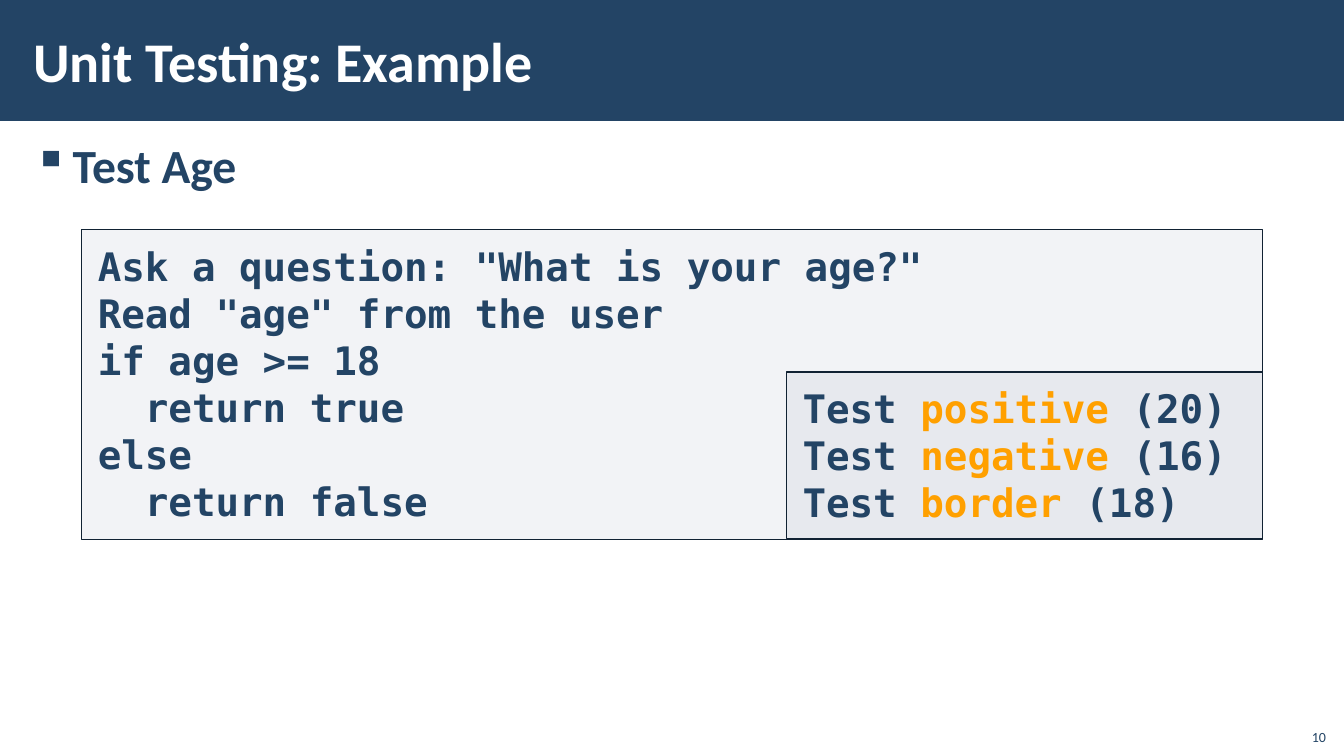
import pptx
import pptx.dml.color
import pptx.enum.shapes
import pptx.enum.text
import pptx.oxml
import pptx.oxml.ns
import pptx.util
from lxml import etree

Inches = pptx.util.Inches
Pt = pptx.util.Pt
RGBColor = pptx.dml.color.RGBColor
ALIGN = pptx.enum.text.PP_ALIGN
ANCHOR = pptx.enum.text.MSO_ANCHOR
qn = pptx.oxml.ns.qn

NAVY = RGBColor(0x23, 0x44, 0x65)
WHITE = RGBColor(0xFF, 0xFF, 0xFF)
PANEL = RGBColor(0xAD, 0xB4, 0xC3)
BORDER = RGBColor(0x11, 0x22, 0x33)
ORANGE = RGBColor(0xFF, 0xA0, 0x00)


class Deck:
    """Holds the style and the current slide, and draws each kind of element."""

    font = "Calibri"
    code_font = "DejaVu Sans Mono"
    code_size = 28

    def __init__(self):
        self.prs = pptx.Presentation()
        self.prs.slide_width = Inches(13.33)
        self.prs.slide_height = Inches(7.5)
        self.s = self.prs.slides.add_slide(self.prs.slide_layouts[6])

    def style(self, r, font, size, color, bold=True):
        r.font.name = font
        r.font.size = Pt(size)
        r.font.bold = bold
        r.font.color.rgb = color

    def frame(self, sp, margin_x, margin_y, anchor=ANCHOR.TOP):
        tf = sp.text_frame
        tf.word_wrap = True
        tf.vertical_anchor = anchor
        tf.margin_left = tf.margin_right = Inches(margin_x)
        tf.margin_top = tf.margin_bottom = Inches(margin_y)
        return tf

    def rect(self, x, y, w, h, fill):
        sp = self.s.shapes.add_shape(
            pptx.enum.shapes.MSO_SHAPE.RECTANGLE,
            Inches(x), Inches(y), Inches(w), Inches(h))
        sp.shadow.inherit = False
        sp.fill.solid()
        sp.fill.fore_color.rgb = fill
        sp.line.fill.background()
        return sp

    def text(self, x, y, w, h, text, size, color=NAVY, bold=True,
             margins=(0.12, 0.04), anchor=ANCHOR.TOP, align=ALIGN.LEFT):
        sp = self.s.shapes.add_textbox(Inches(x), Inches(y), Inches(w), Inches(h))
        tf = self.frame(sp, *margins, anchor)
        tf.text = text
        p = tf.paragraphs[0]
        p.alignment = align
        self.style(p.runs[0], self.font, size, color, bold)
        return p

    def bullet(self, x, y, w, h, text, size):
        p = self.text(x, y, w, h, text, size)
        p.space_after = Pt(6)
        pPr = p._p.get_or_add_pPr()
        pPr.set("marL", str(Inches(0.39)))
        pPr.set("indent", str(Inches(-0.39)))
        color = etree.SubElement(pPr, qn("a:buClr"))
        etree.SubElement(color, qn("a:srgbClr"), val=str(NAVY))
        etree.SubElement(pPr, qn("a:buChar"), char="▪")

    def code(self, x, y, w, h, lines):
        sp = self.rect(x, y, w, h, PANEL)
        color = sp.fill._xPr.find(qn("a:solidFill"))[0]
        etree.SubElement(color, qn("a:alpha"), val="15000")
        sp.line.color.rgb = BORDER
        sp.line.width = Pt(1)
        tf = self.frame(sp, 0.16, 0.12)
        for i, parts in enumerate(lines):
            p = tf.add_paragraph() if i else tf.paragraphs[0]
            p.alignment = ALIGN.LEFT
            for text, color in parts:
                r = p.add_run()
                r.text = text
                self.style(r, self.code_font, self.code_size, color)


def main():
    deck = Deck()
    deck.rect(0, 0, 13.33, 1.2, NAVY)
    deck.text(12.85, 7.12, 0.4, 0.32, "10", 10, bold=False,
              margins=(0.1, 0.05), anchor=ANCHOR.BOTTOM, align=ALIGN.RIGHT)
    deck.bullet(0.21, 1.31, 12.92, 6.05, "Test Age", 34)
    program = [
        'Ask a question: "What is your age?"',
        'Read "age" from the user',
        "if age >= 18",
        "  return true",
        "else",
        "  return false",
    ]
    deck.code(0.81, 2.28, 11.71, 3.07, [[(line, NAVY)] for line in program])
    deck.text(0.21, 0.11, 10.63, 0.97, "Unit Testing: Example", 40, WHITE,
              anchor=ANCHOR.MIDDLE)
    tests = [("positive", 20), ("negative", 16), ("border", 18)]
    deck.code(7.8, 3.69, 4.72, 1.65, [
        [("Test ", NAVY), (case, ORANGE), (f" ({age})", NAVY)]
        for case, age in tests])
    deck.prs.save("out.pptx")


if __name__ == "__main__":
    main()
